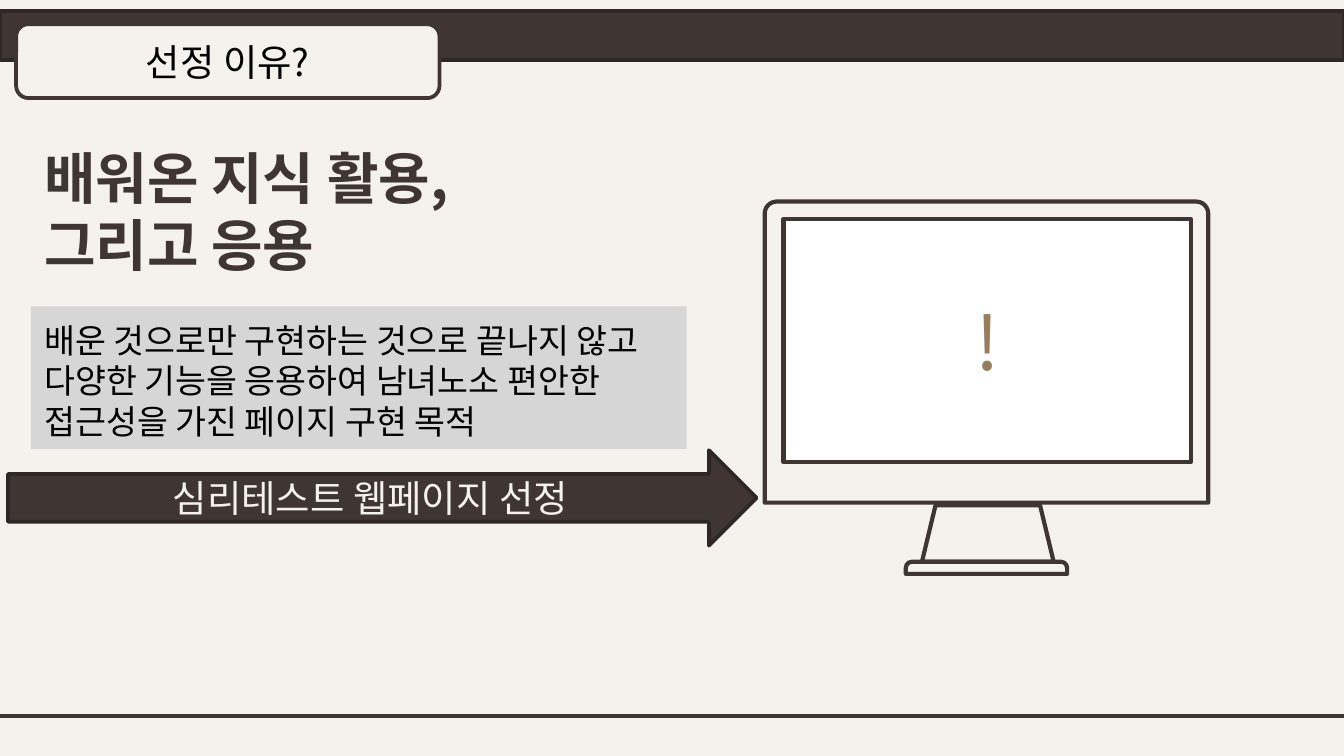
from lxml import etree
from pptx import Presentation
from pptx.dml.color import RGBColor
from pptx.enum.shapes import MSO_CONNECTOR, MSO_SHAPE
from pptx.enum.text import MSO_ANCHOR, MSO_AUTO_SIZE, PP_ALIGN
from pptx.oxml.ns import qn
from pptx.util import Inches, Pt

STRAIGHT = MSO_CONNECTOR.STRAIGHT
LEFT, CENTER = PP_ALIGN.LEFT, PP_ALIGN.CENTER
TOP, MIDDLE = MSO_ANCHOR.TOP, MSO_ANCHOR.MIDDLE
RECTANGLE = MSO_SHAPE.RECTANGLE
ROUNDED = MSO_SHAPE.ROUNDED_RECTANGLE
ROUND_TOP = MSO_SHAPE.ROUND_2_SAME_RECTANGLE
TRAPEZOID = MSO_SHAPE.TRAPEZOID
RIGHT_ARROW = MSO_SHAPE.RIGHT_ARROW

FONT = "Noto Sans CJK KR"
CREAM = RGBColor(0xF5, 0xF2, 0xEE)
BROWN = RGBColor(0x3F, 0x35, 0x33)
DARK_BROWN = RGBColor(0x2F, 0x27, 0x26)
GRAY = RGBColor(0xD6, 0xD6, 0xD6)
GOLD = RGBColor(0x98, 0x7D, 0x59)
BLACK = RGBColor(0, 0, 0)
WHITE = RGBColor(0xFF, 0xFF, 0xFF)

WIDTH = 10
HEIGHT = WIDTH * 9 / 16
FOOTER_Y = 5.33

TITLE = "배워온 지식 활용,\v그리고 응용"
BODY = ("배운 것으로만 구현하는 것으로 끝나지 않고 다양한 기능을 응용하여 "
        "남녀노소 편안한 접근성을 가진 페이지 구현 목적")

# kind, (left, top, width, height), corner or slant, fill, line colour, line width
MONITOR = [
    (TRAPEZOID, (6.86, 3.76, 0.98, 0.42), 0.24, None, BROWN, 2.25),
    (ROUND_TOP, (6.74, 4.18, 1.2, 0.09), 0.5, None, BROWN, 2.25),
    (ROUND_TOP, (5.69, 1.5, 3.3, 2.24), 0.04, None, BROWN, 2.25),
]
HEADER_BAR = (RECTANGLE, (0, 0.08, WIDTH, 0.37), None, BROWN, DARK_BROWN, 2)

# shape, then its text, size and colour
LABELS = [
    ((ROUNDED, (0.12, 0.18, 3.15, 0.55), None, CREAM, BROWN, 2),
     "선정 이유?", 20, BLACK),
    ((RIGHT_ARROW, (0.06, 3.35, 5.57, 0.71), None, BROWN, DARK_BROWN, 2),
     "심리테스트 웹페이지 선정", 20, CREAM),
    ((RECTANGLE, (5.83, 1.63, 3.03, 1.81), None, WHITE, BROWN, 2.25),
     "!", 40, GOLD),
]


def write(shape, text, size, color, align=CENTER, anchor=MIDDLE, bold=False):
    frame = shape.text_frame
    frame.word_wrap = True
    frame.auto_size = MSO_AUTO_SIZE.NONE
    frame.vertical_anchor = anchor
    frame.margin_left = frame.margin_right = Inches(0.1)
    frame.margin_top = frame.margin_bottom = Inches(0.1 if anchor == TOP else 0.05)
    paragraph = frame.paragraphs[0]
    paragraph.text = text
    paragraph.alignment = align
    paragraph.space_before = Pt(0)
    for span in paragraph.runs:
        span.font.name = FONT
        span.font.size = Pt(size)
        span.font.bold = bold
        span.font.color.rgb = color
        # Hangul takes the East Asian typeface
        east_asian = etree.SubElement(span.font._element, qn("a:ea"))
        east_asian.set("typeface", FONT)


def place(shape, bounds):
    shape.left, shape.top, shape.width, shape.height = map(Inches, bounds)


def draw(page, kind, bounds, adjustment, fill, line, line_width):
    shape = page.shapes.add_shape(kind, *map(Inches, bounds))
    shape.shadow.inherit = False
    if adjustment is not None:
        shape.adjustments[0] = adjustment
    if fill is None:
        shape.fill.background()
    else:
        shape.fill.solid()
        shape.fill.fore_color.rgb = fill
    shape.line.color.rgb = line
    shape.line.width = Pt(line_width)
    return shape


def main():
    deck = Presentation()
    deck.slide_width, deck.slide_height = Inches(WIDTH), Inches(HEIGHT)
    page = deck.slides.add_slide(deck.slide_layouts[0])
    page.background.fill.solid()
    page.background.fill.fore_color.rgb = CREAM

    title, body = page.placeholders
    place(title, (0.23, 0.97, 4.47, 1.31))
    write(title, TITLE, 30, BROWN, LEFT, TOP, bold=True)
    place(body, (0.23, 2.28, 4.88, 1.06))
    body.fill.solid()
    body.fill.fore_color.rgb = GRAY
    write(body, BODY, 18, BLACK, LEFT, TOP)

    footer = page.shapes.add_connector(
        STRAIGHT, 0, Inches(FOOTER_Y), Inches(WIDTH), Inches(FOOTER_Y))
    footer.line.color.rgb = BROWN
    footer.line.width = Pt(2.25)
    etree.SubElement(footer._element.spPr, qn("a:effectLst"))

    for part in [*MONITOR, HEADER_BAR]:
        draw(page, *part)
    for part, text, size, color in LABELS:
        write(draw(page, *part), text, size, color)

    deck.save("out.pptx")


if __name__ == "__main__":
    main()
